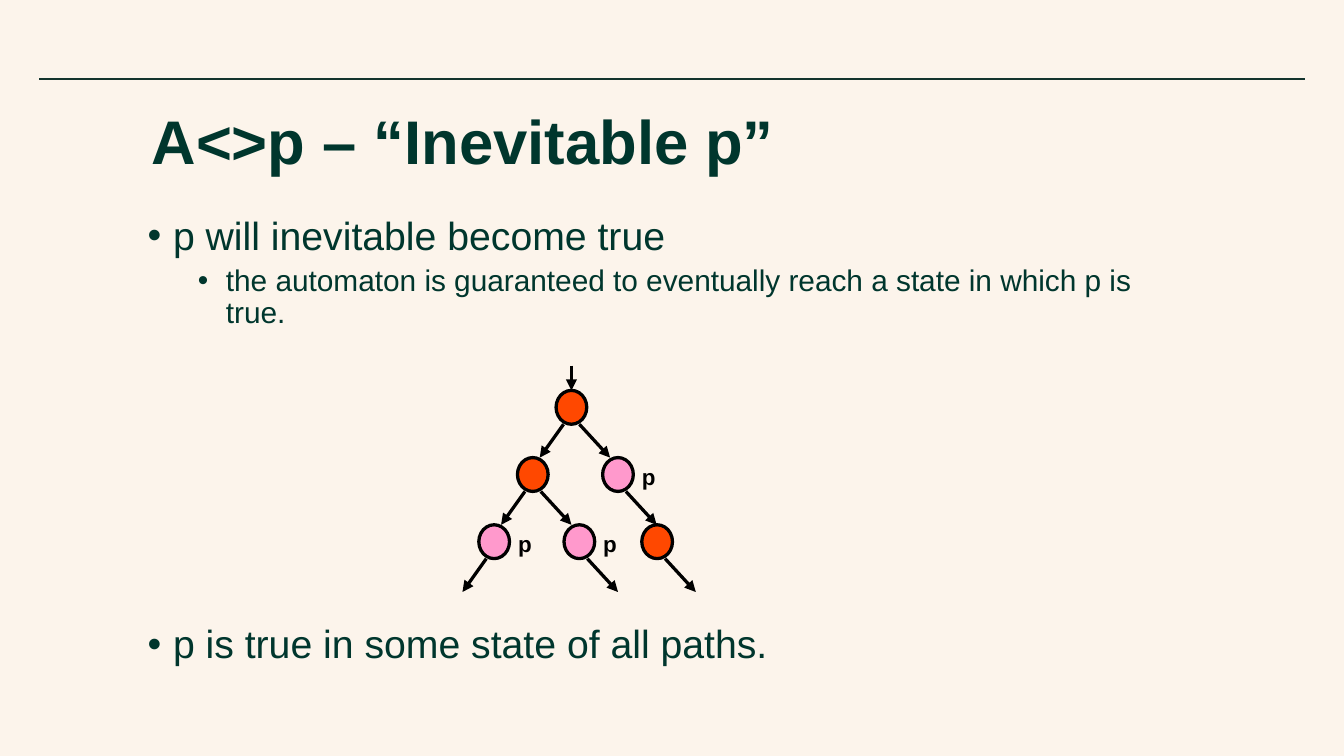
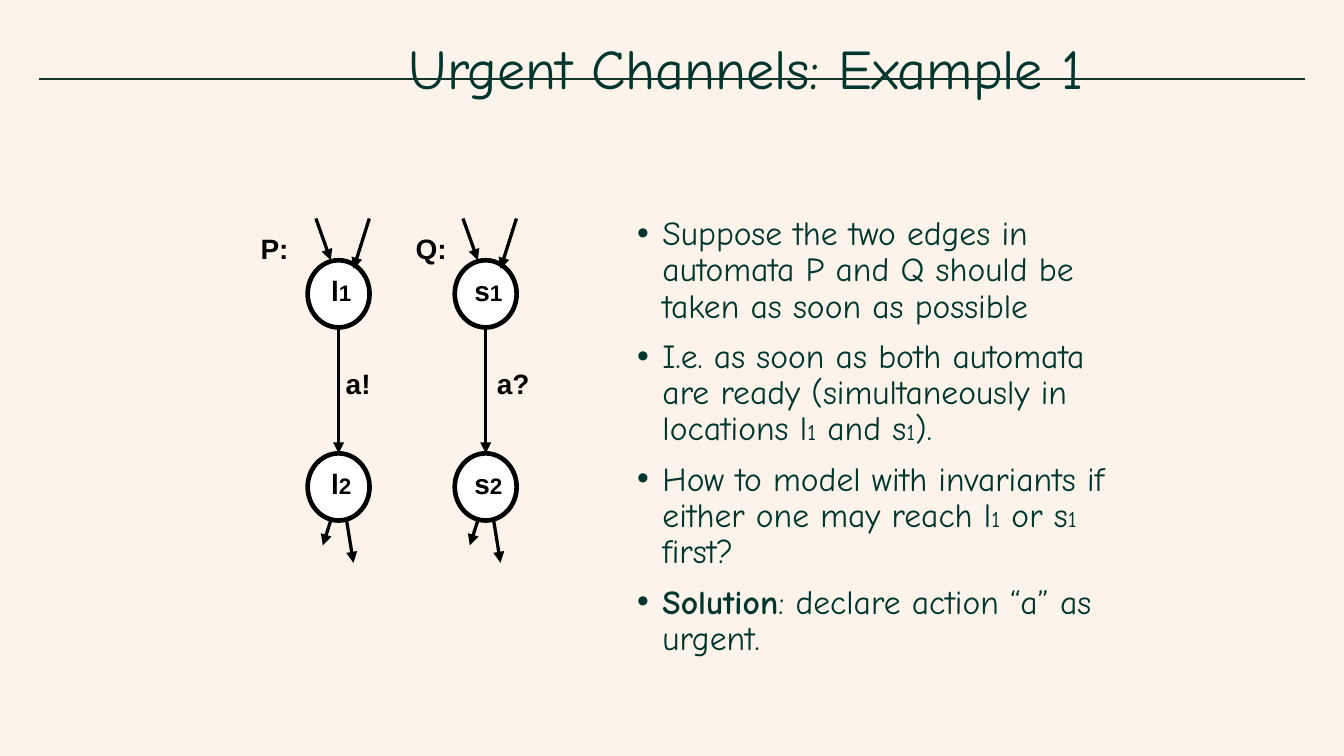
import dataclasses

import lxml.etree
import pptx
import pptx.dml.color
import pptx.enum.shapes
import pptx.enum.text
import pptx.oxml.ns
import pptx.util

Cm = pptx.util.Cm
Pt = pptx.util.Pt
RGB = pptx.dml.color.RGBColor.from_string


@dataclasses.dataclass(frozen=True)
class Theme:
    background: str = "FCF4EB"
    rule: str = "13342D"
    text: str = "00362D"
    ink: str = "000000"
    white: str = "FFFFFF"
    orange: str = "FF4800"
    pink: str = "FF99CC"
    plain_font: str = "Arial"
    comic_font: str = "Comic Neue"
    big_title: int = 33
    title: int = 30
    bullet: int = 21
    comic_bullet: int = 18
    sub_bullet: int = 16
    label: int = 15
    small: int = 12
    arrow_width: float = 1.75
    location_width: float = 2.5


THEME = Theme()
MIDDLE = pptx.enum.text.MSO_ANCHOR.MIDDLE
TOP = pptx.enum.text.MSO_ANCHOR.TOP
LEFT = pptx.enum.text.PP_ALIGN.LEFT
CENTER = pptx.enum.text.PP_ALIGN.CENTER
NO_AUTOFIT = pptx.enum.text.MSO_AUTO_SIZE.NONE
GROW = pptx.enum.text.MSO_AUTO_SIZE.SHAPE_TO_FIT_TEXT

# Marker indent and text indent of each list level, in cm
BULLET_INDENTS = [(0, 0.48), (0.95, 1.48)]

# Tree layout, in cm
NODE_WIDTH, NODE_HEIGHT = 0.58, 0.64
TREE_TOP, LEVEL_STEP = 7.38, 1.27
BRANCH_START = 0.15
BRANCH_REACH = {"left": -0.45, "right": 0.58}

# Automaton layout, in cm
LOCATION_WIDTH, LOCATION_HEIGHT = 1.17, 1.27
LOCATION_TOPS = [4.92, 8.57]
# Start and end of each arrow, x measured from the automaton's axis
AUTOMATON_ARROWS = [
    ((-0.43, 4.13), (-0.15, 4.92)),
    ((0.58, 4.13), (0.28, 5.08)),
    ((0, 6.19), (0, 8.57)),
    ((-0.15, 9.84), (-0.3, 10.31)),
    ((0.15, 9.84), (0.28, 10.64)),
]


def set_attributes(target, values):
    for name, value in values.items():
        setattr(target, name, value)


def place(shape, left, top, width, height):
    set_attributes(shape, {"left": Cm(left), "top": Cm(top),
                           "width": Cm(width), "height": Cm(height)})


def add_runs(paragraph, runs, font, size, color, bold=False):
    """Add runs given as text, or as (text, font values) where they differ."""
    for item in runs:
        text, changes = (item, {}) if isinstance(item, str) else item
        run = paragraph.add_run()
        run.text = text
        set_attributes(run.font, {"name": font, "size": Pt(size), "bold": bold, **changes})
        run.font.color.rgb = RGB(color)


def add_bullet(paragraph, level):
    marker, text = BULLET_INDENTS[level]
    paragraph.level = level
    properties = paragraph._p.get_or_add_pPr()
    properties.set("marL", str(Cm(text)))
    properties.set("indent", str(Cm(marker - text)))
    for tag, name, value in [("a:buFont", "typeface", THEME.plain_font),
                             ("a:buChar", "char", "•")]:
        element = lxml.etree.SubElement(properties, pptx.oxml.ns.qn(tag))
        element.set(name, value)


def fill_title(slide, text, box, font, size, bold=False):
    title = slide.shapes.title
    place(title, *box)
    set_attributes(title.text_frame, {"vertical_anchor": MIDDLE, "word_wrap": True,
                                      "auto_size": NO_AUTOFIT})
    paragraph = title.text_frame.paragraphs[0]
    set_attributes(paragraph, {"alignment": LEFT, "line_spacing": 0.9})
    add_runs(paragraph, [text], font, size, THEME.text, bold)


def fill_list(slide, items, box, font):
    """Fill the body with items of (level, size, space before, runs)."""
    body = slide.placeholders[1]
    place(body, *box)
    frame = body.text_frame
    set_attributes(frame, {"vertical_anchor": TOP, "word_wrap": True, "auto_size": NO_AUTOFIT,
                           "margin_left": Cm(0.25), "margin_right": Cm(0.2),
                           "margin_top": Cm(0.13), "margin_bottom": Cm(0.13)})
    for index, (level, size, space, runs) in enumerate(items):
        paragraph = frame.add_paragraph() if index else frame.paragraphs[0]
        add_bullet(paragraph, level)
        set_attributes(paragraph, {"line_spacing": 0.9, "space_before": Pt(space)})
        add_runs(paragraph, runs, font, size, THEME.text)


def add_line(slide, start, end, color, width, arrow=False):
    line = slide.shapes.add_connector(pptx.enum.shapes.MSO_CONNECTOR.STRAIGHT,
                                      *map(Cm, (*start, *end)))
    line.line.color.rgb = RGB(color)
    line.line.width = Pt(width)
    if arrow:
        tail = lxml.etree.SubElement(line.line._get_or_add_ln(), pptx.oxml.ns.qn("a:tailEnd"))
        tail.set("type", "triangle")
    lxml.etree.SubElement(line._element.spPr, pptx.oxml.ns.qn("a:effectLst"))
    return line


def add_arrow(slide, start, end):
    add_line(slide, start, end, THEME.ink, THEME.arrow_width, arrow=True)


def add_circle(slide, center, top, width, height, color, line_width):
    circle = slide.shapes.add_shape(pptx.enum.shapes.MSO_SHAPE.OVAL, Cm(center - width / 2),
                                    Cm(top), Cm(width), Cm(height))
    circle.shadow.inherit = False
    circle.fill.solid()
    circle.fill.fore_color.rgb = RGB(color)
    circle.line.color.rgb = RGB(THEME.ink)
    circle.line.width = Pt(line_width)


def add_label(slide, center, top, runs, size=THEME.label, width=1.1, height=0.84):
    box = slide.shapes.add_textbox(Cm(center - width / 2), Cm(top), Cm(width), Cm(height))
    frame = box.text_frame
    set_attributes(frame, {"word_wrap": False, "auto_size": GROW,
                           "margin_left": Cm(0.18), "margin_right": Cm(0.18),
                           "margin_top": Cm(0.1), "margin_bottom": Cm(0.1)})
    paragraph = frame.paragraphs[0]
    paragraph.alignment = CENTER
    add_runs(paragraph, runs, THEME.plain_font, size, THEME.ink, bold=True)


def add_tree_node(slide, center, level, holds, branches):
    """Draw one state; states where p holds are pink and labelled."""
    top = TREE_TOP + level * LEVEL_STEP
    bottom = top + NODE_HEIGHT
    add_circle(slide, center, top, NODE_WIDTH, NODE_HEIGHT,
               THEME.pink if holds else THEME.orange, THEME.arrow_width)
    for branch in branches:
        reach = BRANCH_REACH[branch]
        start = center + (BRANCH_START if reach > 0 else -BRANCH_START)
        add_arrow(slide, (start, bottom), (start + reach, top + LEVEL_STEP))
    if holds:
        add_label(slide, center + 0.58, top, ["p"], THEME.small, 0.63, 0.71)


def add_automaton(slide, axis, name, name_offset, location, action, action_offset):
    for number, top in enumerate(LOCATION_TOPS, 1):
        add_circle(slide, axis, top, LOCATION_WIDTH, LOCATION_HEIGHT, THEME.white,
                   THEME.location_width)
        add_label(slide, axis + 0.05, top + 0.15, [location, small(str(number))])
    for (start_x, start_y), (end_x, end_y) in AUTOMATON_ARROWS:
        add_arrow(slide, (axis + start_x, start_y), (axis + end_x, end_y))
    add_label(slide, axis + name_offset, 4.28, [name])
    add_label(slide, axis + action_offset, 6.83, [action])


def small(text):
    return text, {"size": Pt(THEME.small)}


def set_up_master(presentation, slide):
    """Give the master its background and rule, drawn by way of a slide."""
    master = presentation.slide_master
    master.background.fill.solid()
    master.background.fill.fore_color.rgb = RGB(THEME.background)
    rule = add_line(slide, (0.74, 1.5), (24.66, 1.5), THEME.rule, 1)
    master.shapes._spTree.append(rule._element)


def build_inevitable_slide(slide):
    fill_title(slide, "A<>p – “Inevitable p”", (2.61, 1.5, 20.19, 2.46),
               THEME.plain_font, THEME.big_title, bold=True)
    fill_list(slide, [
        (0, THEME.bullet, 0, ["p will inevitable become true"]),
        (1, THEME.sub_bullet, 3.8,
         ["the automaton is guaranteed to eventually reach a state in which p is true."]),
        (0, THEME.bullet, 158, ["p is true in some state of all paths."]),
    ], (2.54, 3.96, 20.24, 9.19), THEME.plain_font)
    add_arrow(slide, (10.8, 6.91), (10.8, TREE_TOP))
    for node in [
        (10.8, 0, False, ["left", "right"]),
        (10.07, 1, False, ["left", "right"]),
        (11.68, 1, True, ["right"]),
        (9.34, 2, True, ["left"]),
        (10.95, 2, True, ["right"]),
        (12.42, 2, False, ["right"]),
    ]:
        add_tree_node(slide, *node)


def build_urgent_slide(slide):
    fill_title(slide, "Urgent Channels: Example 1", (7.47, -0.31, 14.33, 3.33),
               THEME.comic_font, THEME.title)
    points = [
        ["Suppose the two edges in automata P and Q should be taken as soon as possible"],
        ["I.e. as soon as both automata are ready (simultaneously in locations l", small("1"),
         " and s", small("1"), ")."],
        ["How to model with invariants if either one may reach l", small("1"),
         " or s", small("1"), " first?"],
        [("Solution", {"bold": True}), ": declare action “a” as urgent."],
    ]
    fill_list(slide, [(0, THEME.comic_bullet, 7.5 if index else 0, runs)
                      for index, runs in enumerate(points)],
              (11.79, 3.96, 9.86, 8.74), THEME.comic_font)
    add_automaton(slide, 6.4, "P:", -1.21, "l", "a!", 0.37)
    add_automaton(slide, 9.18, "Q:", -1.03, "s", "a?", 0.52)


def main():
    presentation = pptx.Presentation()
    set_attributes(presentation, {"slide_width": Cm(25.4), "slide_height": Cm(14.29)})
    layout = presentation.slide_layouts.get_by_name("Title and Content")
    builders = [build_inevitable_slide, build_urgent_slide]
    slides = [presentation.slides.add_slide(layout) for _ in builders]
    set_up_master(presentation, slides[0])
    for build, slide in zip(builders, slides):
        build(slide)
    presentation.save("out.pptx")


if __name__ == "__main__":
    main()
